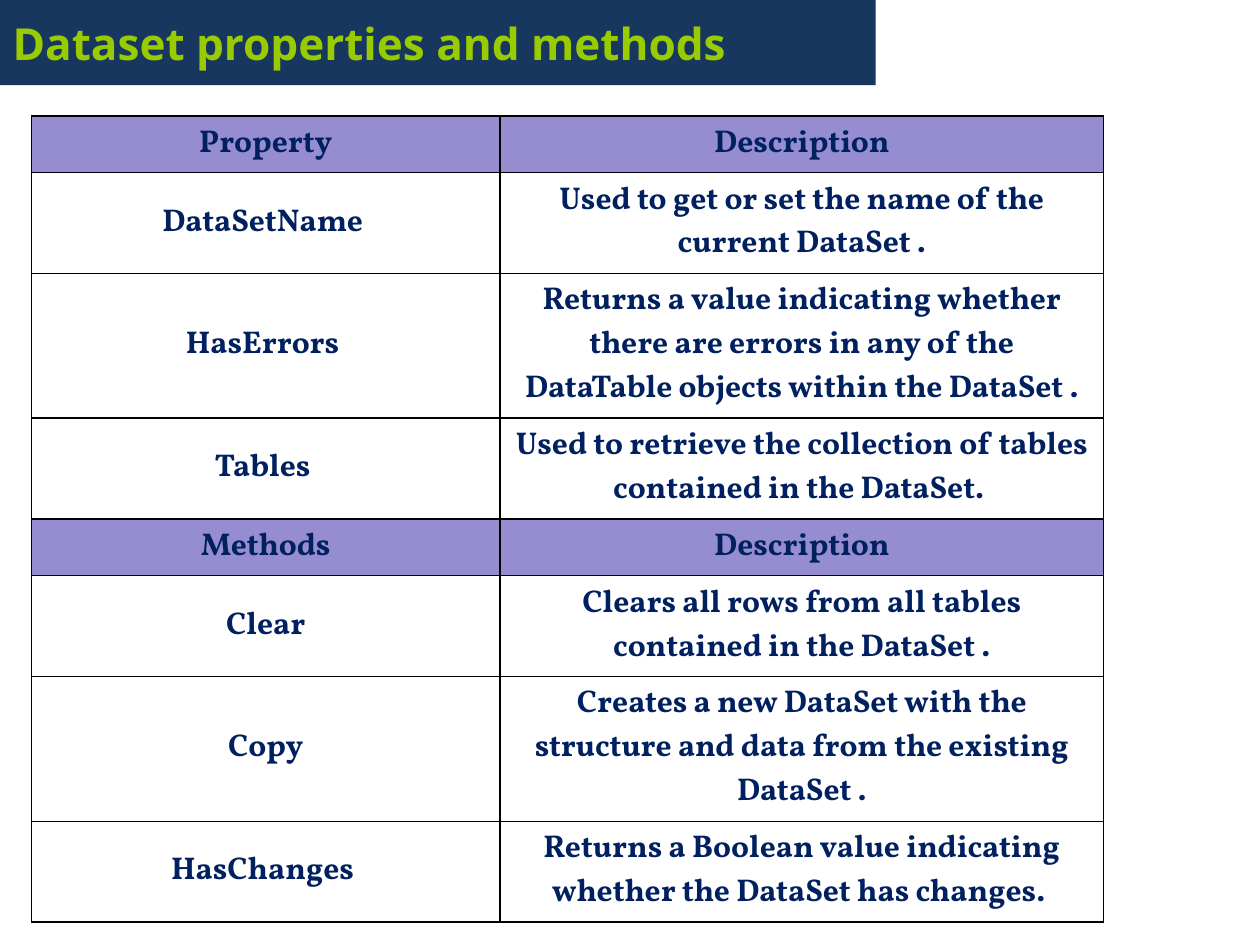
from dataclasses import dataclass

from lxml.etree import SubElement
from pptx import Presentation
from pptx.dml.color import RGBColor as RGB
from pptx.enum.text import MSO_ANCHOR as Anchor, MSO_AUTO_SIZE as AutoSize, PP_ALIGN as Align
from pptx.oxml.ns import qn
from pptx.util import Inches, Pt


@dataclass(frozen=True)
class Theme:
    band: RGB = RGB(0x17, 0x37, 0x5E)
    title: RGB = RGB(0x99, 0xCC, 0x00)
    header: RGB = RGB(0x95, 0x8D, 0xCF)
    body: RGB = RGB(0xFF, 0xFF, 0xFF)
    text: RGB = RGB(0x00, 0x20, 0x60)
    border: str = "000000"
    title_font: str = "Open Sans"
    table_font: str = "Vollkorn"
    title_size: float = 25.2
    table_size: float = 18


THEME = Theme()
WIDTH, HEIGHT = Inches(10), Inches(7.5)
LINE, PADDING = 0.35, 0.1  # height of a text line and of a cell's margins, inches

# Each section: its header, then its members as name, description, text lines
SECTIONS = {
    "Property": [
        ("DataSetName ", "Used to get or set the name of the current DataSet .", 2),
        ("HasErrors ", "Returns a value indicating whether there are errors in any of the "
                       "DataTable objects within the DataSet .", 3),
        ("Tables ", "Used to retrieve the collection of tables contained in the DataSet. ", 2),
    ],
    "Methods": [
        ("Clear", "Clears all rows from all tables contained in the DataSet .", 2),
        ("Copy", "Creates a new DataSet with the structure and data from the existing "
                 "DataSet .", 3),
        ("HasChanges ", "Returns a Boolean value indicating whether the DataSet has changes. ", 2),
    ],
}


def write(p, text, align, font, size, color):
    p.alignment = align
    r = p.add_run()
    r.text = text
    for name, value in {"name": font, "size": Pt(size), "bold": True}.items():
        setattr(r.font, name, value)
    r.font.color.rgb = color


def add_title(slide, text, box):
    sp = slide.shapes.title
    for name, value in zip(("left", "top", "width", "height"), box):
        setattr(sp, name, value)
    sp.fill.solid()
    sp.fill.fore_color.rgb = THEME.band
    tf = sp.text_frame
    tf.auto_size = AutoSize.NONE
    tf.vertical_anchor = Anchor.MIDDLE
    write(tf.paragraphs[0], text, Align.LEFT, THEME.title_font, THEME.title_size, THEME.title)


def add_borders(cell):
    """Put the side lines ahead of the fill, as the schema orders them."""
    tc_pr = cell._tc.get_or_add_tcPr()
    for i, side in enumerate(("a:lnL", "a:lnR", "a:lnT", "a:lnB")):
        ln = SubElement(tc_pr, qn(side), w=str(Pt(1)))
        fill = SubElement(ln, qn("a:solidFill"))
        SubElement(fill, qn("a:srgbClr"), val=THEME.border)
        tc_pr.insert(i, ln)


def fill_cell(cell, text, color):
    cell.vertical_anchor = Anchor.MIDDLE
    cell.fill.solid()
    cell.fill.fore_color.rgb = color
    add_borders(cell)
    p = cell.text_frame.paragraphs[0]
    write(p, text, Align.CENTER, THEME.table_font, THEME.table_size, THEME.text)
    before = SubElement(p._p.get_or_add_pPr(), qn("a:spcBef"))
    SubElement(before, qn("a:spcPct"), val="20000")


def add_member_table(slide, sections, left, top, width):
    rows = []
    for heading, members in sections.items():
        rows.append((heading, "Description", 1, THEME.header))
        rows += [(*member, THEME.body) for member in members]
    heights = [Inches(lines * LINE + PADDING) for _, _, lines, _ in rows]

    table = slide.shapes.add_table(len(rows), 2, left, top, width, sum(heights)).table
    name_width = int(width * 0.437)
    table.columns[0].width = name_width
    table.columns[1].width = width - name_width
    for i, (name, description, _, color) in enumerate(rows):
        table.rows[i].height = heights[i]
        for cell, text in zip(table.rows[i].cells, (name, description)):
            fill_cell(cell, text, color)


def main():
    prs = Presentation()
    prs.slide_width, prs.slide_height = WIDTH, HEIGHT
    slide = prs.slides.add_slide(prs.slide_layouts[5])
    add_title(slide, "Dataset properties and methods",
              (0, 0, int(WIDTH * 0.695), int(HEIGHT * 0.09)))
    add_member_table(slide, SECTIONS, Inches(0.25), Inches(0.92), Inches(8.51))
    prs.save("out.pptx")


if __name__ == "__main__":
    main()
